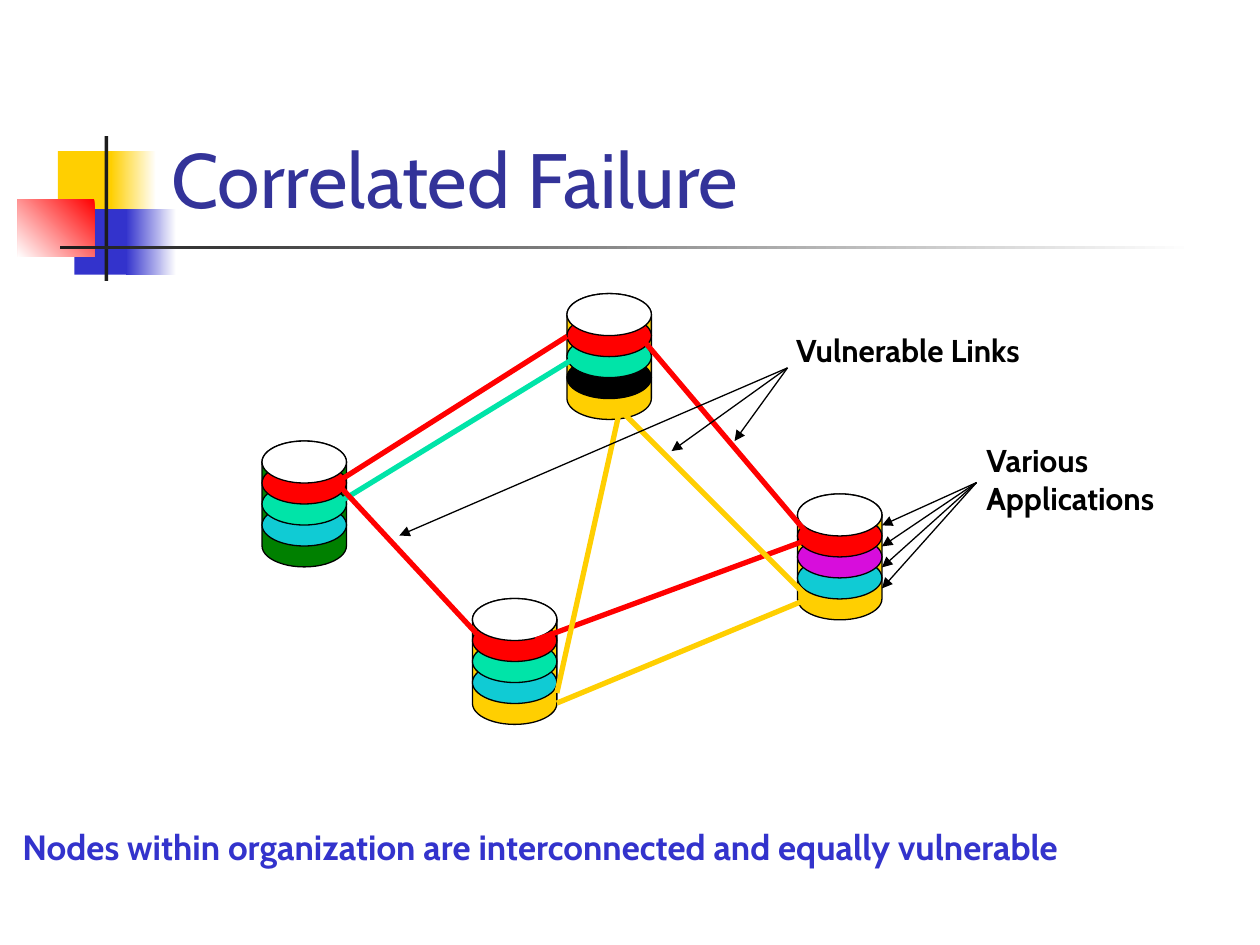
from dataclasses import dataclass

from lxml import etree
from pptx import Presentation
from pptx import util as u
from pptx.dml.color import RGBColor
from pptx.enum import shapes, text
from pptx.oxml.ns import qn

Point = tuple[float, float]
KIND = shapes.MSO_SHAPE


@dataclass(frozen=True)
class Theme:
    font: str = "Cabin"
    gold: str = "FFCF01"
    blue: str = "3333CC"
    navy: str = "333399"
    red: str = "FF0000"
    mint: str = "00E4A8"
    cyan: str = "10CBD4"
    pink: str = "D70DDC"
    green: str = "008000"
    dark: str = "1C1C1C"
    black: str = "000000"
    white: str = "FFFFFF"
    head: float = 44
    note: float = 20
    label: float = 18
    thick: float = 3
    thin: float = 0.75


@dataclass(frozen=True)
class Block:
    box: tuple[float, float, float, float]
    fill: str
    fade: str = ""  # second gradient colour, if any
    angle: float = 180


@dataclass(frozen=True)
class Node:
    left: float
    top: float
    body: str
    apps: tuple[str, ...]  # from top to bottom


@dataclass(frozen=True)
class Link:
    start: Point
    end: Point
    color: str


@dataclass(frozen=True)
class Label:
    box: tuple[float, float, float, float]
    lines: tuple[str, ...]
    size: float
    color: str
    wrap: bool = True


T = Theme()
WIDE, TALL, DISK = 0.67, 1.0, 1 / 3
STEP = DISK / 2

BLOCKS = (
    Block((0.46, 1.2, 0.48, 0.52), T.gold),
    Block((0.88, 1.2, 0.36, 0.52), T.white, T.gold),
    Block((0.59, 1.66, 0.46, 0.52), T.blue),
    Block((1, 1.66, 0.4, 0.52), T.white, T.blue),
    Block((0.14, 1.58, 0.61, 0.46), T.red, T.white, 225),
    Block((0.83, 1.08, 0.03, 1.15), T.dark),
    Block((0.48, 1.95, 9, 0.03), T.white, T.dark),
)
NODES = (
    Node(2.08, 3.5, T.green, (T.red, T.mint, T.cyan)),
    Node(4.5, 2.33, T.gold, (T.red, T.mint, T.black)),
    Node(6.33, 3.92, T.gold, (T.red, T.pink, T.cyan)),
    Node(3.75, 4.75, T.gold, (T.red, T.mint, T.cyan)),
)
LINKS = (
    Link((2.67, 3.83), (4.5, 2.67), T.red),
    Link((6.5, 4.25), (4.25, 5.08), T.red),
    Link((5.08, 2.67), (6.42, 4.25), T.red),
    Link((4.92, 3.25), (4.42, 5.5), T.gold),
    Link((4.42, 5.58), (6.42, 4.75), T.gold),
    Link((4.92, 3.25), (6.42, 4.75), T.gold),
    Link((2.67, 4), (4.58, 2.83), T.mint),
    Link((2.67, 3.83), (3.83, 5.08), T.red),
)
# Each fan of arrows: its origin, then its targets
FANS = (
    ((7.75, 3.83), [(7, 4.17 + STEP * i) for i in range(4)]),
    ((6.25, 2.92), [(3.17, 4.25), (5.33, 3.58), (5.83, 3.5)]),
)
LABELS = (
    Label((0.08, 6.5, 9.92, 0.44),
          ("Nodes within organization are interconnected and equally vulnerable",),
          T.note, T.blue),
    Label((7.73, 3.45, 1.93, 0.7), ("Various", "Applications"), T.label, T.black),
    Label((6.22, 2.58, 2.29, 0.4), ("Vulnerable Links",), T.label, T.black, False),
)


def rgb(color: str) -> RGBColor:
    return RGBColor.from_string(color)


def assign(item, values: dict) -> None:
    for name, value in values.items():
        setattr(item, name, value)


def style(para, size: float, color: str, bold: bool) -> None:
    para.alignment = text.PP_ALIGN.LEFT
    assign(para.font, {"name": T.font, "size": u.Pt(size), "bold": bold})
    para.font.color.rgb = rgb(color)


def add_block(slide, block: Block) -> None:
    shape = slide.shapes.add_shape(KIND.RECTANGLE, *map(u.Inches, block.box))
    shape.shadow.inherit = False
    shape.line.fill.background()
    if block.fade:
        shape.fill.gradient()
        shape.fill.gradient_angle = block.angle
        for stop, color in zip(shape.fill.gradient_stops, (block.fill, block.fade)):
            stop.color.rgb = rgb(color)
    else:
        shape.fill.solid()
        shape.fill.fore_color.rgb = rgb(block.fill)


def add_part(slide, kind, left: float, top: float, high: float, color: str) -> None:
    shape = slide.shapes.add_shape(kind, *map(u.Inches, (left, top, WIDE, high)))
    shape.shadow.inherit = False
    shape.fill.solid()
    shape.fill.fore_color.rgb = rgb(color)
    shape.line.color.rgb = rgb(T.black)
    shape.line.width = u.Pt(T.thin)


def add_node(slide, node: Node) -> None:
    """Draw a drum and stack its disks from the lowest up to the white lid."""
    add_part(slide, KIND.FLOWCHART_MAGNETIC_DISK, node.left, node.top, TALL, node.body)
    disks = list(enumerate((T.white, *node.apps)))
    for i, color in reversed(disks):
        add_part(slide, KIND.OVAL, node.left, node.top + STEP * i, DISK, color)


def add_link(slide, link: Link, width: float, arrow: bool = False) -> None:
    line = slide.shapes.add_connector(
        shapes.MSO_CONNECTOR.STRAIGHT, *map(u.Inches, link.start + link.end))
    line.line.color.rgb = rgb(link.color)
    line.line.width = u.Pt(width)
    if arrow:
        etree.SubElement(line.line._get_or_add_ln(), qn("a:tailEnd"), type="triangle")
    etree.SubElement(line._element.spPr, qn("a:effectLst"))


def add_label(slide, label: Label) -> None:
    frame = slide.shapes.add_textbox(*map(u.Inches, label.box)).text_frame
    assign(frame, {"word_wrap": label.wrap, "text": "\n".join(label.lines),
                   "auto_size": text.MSO_AUTO_SIZE.SHAPE_TO_FIT_TEXT})
    for para in frame.paragraphs:
        style(para, label.size, label.color, True)


def set_title(slide, words: str) -> None:
    title = slide.shapes.title
    assign(title, {"left": u.Inches(1.26), "top": u.Inches(0.23),
                   "width": u.Inches(8.52), "height": u.Inches(1.6)})
    assign(title.text_frame, {"text": words, "word_wrap": True,
                              "auto_size": text.MSO_AUTO_SIZE.NONE,
                              "vertical_anchor": text.MSO_ANCHOR.BOTTOM})
    style(title.text_frame.paragraphs[0], T.head, T.navy, False)


def main() -> None:
    deck = Presentation()
    assign(deck, {"slide_width": u.Inches(10), "slide_height": u.Inches(7.5)})
    slide = deck.slides.add_slide(deck.slide_layouts[5])
    set_title(slide, "Correlated Failure")
    for block in BLOCKS:
        add_block(slide, block)
    for node in NODES:
        add_node(slide, node)
    for link in LINKS:
        add_link(slide, link, T.thick)
    for start, ends in FANS:
        for end in ends:
            add_link(slide, Link(start, end, T.black), T.thin, arrow=True)
    for label in LABELS:
        add_label(slide, label)
    deck.save("out.pptx")


if __name__ == "__main__":
    main()
